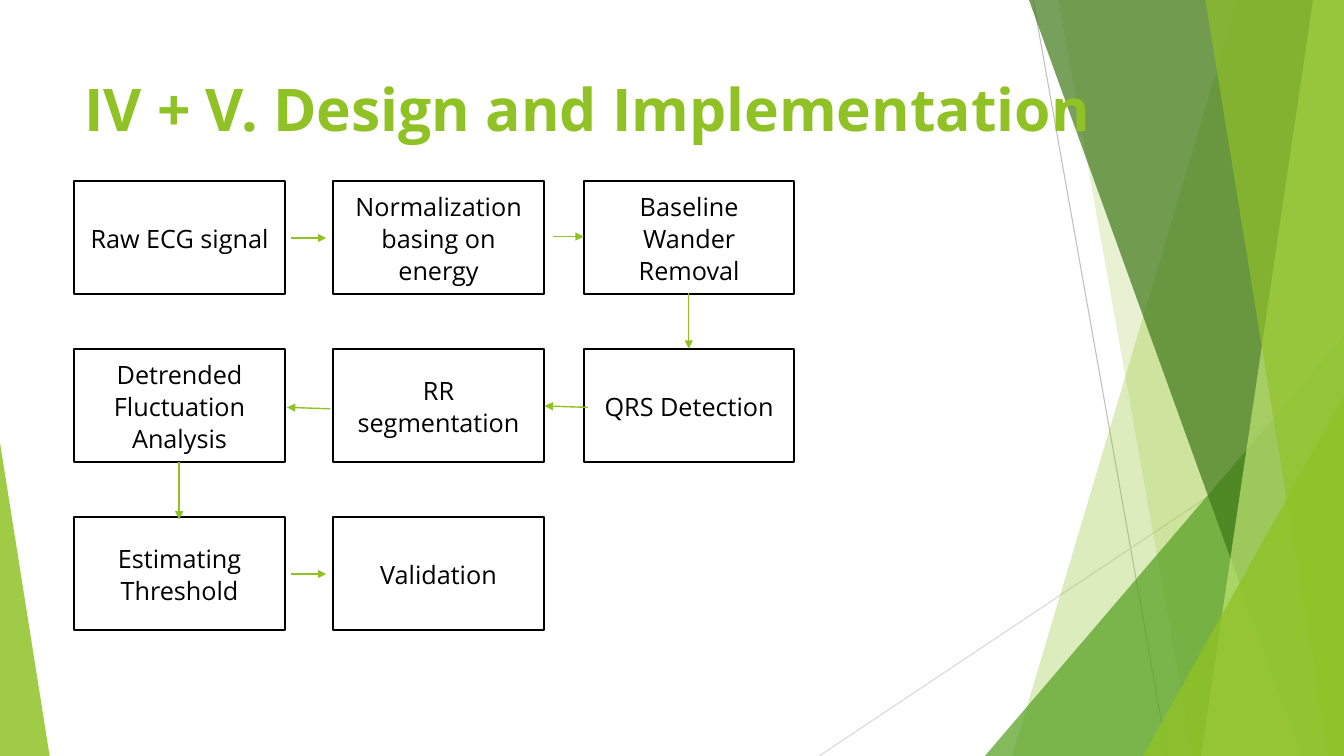
from lxml import etree
from pptx import Presentation
from pptx.dml.color import RGBColor
from pptx.enum.shapes import MSO_CONNECTOR, MSO_SHAPE
from pptx.enum.text import MSO_ANCHOR, MSO_AUTO_SIZE, PP_ALIGN
from pptx.oxml.ns import qn
from pptx.util import Pt

RECT = MSO_SHAPE.RECTANGLE
TRIANGLE = MSO_SHAPE.ISOSCELES_TRIANGLE
STRAIGHT = MSO_CONNECTOR.STRAIGHT
CENTER, LEFT = PP_ALIGN.CENTER, PP_ALIGN.LEFT
TOP, MIDDLE = MSO_ANCHOR.TOP, MSO_ANCHOR.MIDDLE
NO_FIT = MSO_AUTO_SIZE.NONE

WIDTH, HEIGHT = 960, 540
FONT = "Open Sans"
GREEN, LEAF, PINE, LIME = "90C226", "54A021", "3F7819", "C0E474"
BLACK, WHITE = "000000", "FFFFFF"

COLS = (53, 238, 417)
ROWS = (129, 249, 369)
BOX_W, BOX_H = 150.5, 81

# Each step: text, column, row
STEPS = (
    ("Raw ECG signal", 0, 0),
    ("Normalization basing on energy", 1, 0),
    ("Baseline Wander Removal", 2, 0),
    ("QRS Detection", 2, 1),
    ("RR segmentation", 1, 1),
    ("Detrended Fluctuation Analysis", 0, 1),
    ("Estimating Threshold", 0, 2),
    ("Validation", 1, 2),
)

# Each arrow: start x, start y, end x, end y
ARROWS = (
    (208, 170, 233, 170),
    (395, 169, 417, 169),
    (492, 209, 492, 249),
    (420, 291, 389, 290),
    (236, 292, 205, 291),
    (128, 330, 128, 371),
    (208, 410, 233, 410),
)


def color(code):
    """Turn a hex string into a colour."""
    return RGBColor.from_string(code)


def paint(shape, code, alpha):
    """Fill a shape with a see-through colour, without outline or shadow."""
    shape.shadow.inherit = False
    shape.line.fill.background()
    shape.fill.solid()
    shape.fill.fore_color.rgb = color(code)
    tint = shape.fill._xPr.find(".//" + qn("a:srgbClr"))
    etree.SubElement(tint, qn("a:alpha")).set("val", str(alpha * 1000))


def style(par, size, code, bold=False):
    """Set the font of every run in a paragraph."""
    for run in par.runs:
        font = run.font
        font.name, font.size, font.bold = FONT, Pt(size), bold
        font.color.rgb = color(code)


def add_line(slide, ends, code, width):
    """Draw a straight line between two points."""
    line = slide.shapes.add_connector(STRAIGHT, *map(Pt, ends))
    line.line.color.rgb = color(code)
    line.line.width = Pt(width)
    etree.SubElement(line._element.spPr, qn("a:effectLst"))
    return line


def add_arrow(slide, ends):
    """Draw a green arrow between two points."""
    arrow = add_line(slide, ends, GREEN, 1)
    stroke = arrow.line._get_or_add_ln()
    etree.SubElement(stroke, qn("a:tailEnd")).set("type", "triangle")


def add_band(slide, top, foot, code, alpha):
    """Draw a slanted band that runs to the right edge."""
    form = slide.shapes.build_freeform(top, 0, scale=Pt(1))
    form.add_line_segments([(WIDTH, 0), (WIDTH, HEIGHT), (foot, HEIGHT)])
    paint(form.convert_to_shape(), code, alpha)


def add_wedge(slide, left, top, width, peak, code, alpha):
    """Draw a triangle that stands on the bottom edge."""
    wedge = slide.shapes.add_shape(
        TRIANGLE, Pt(left), Pt(top), Pt(width), Pt(HEIGHT - top))
    wedge.adjustments[0] = peak
    paint(wedge, code, alpha)


def add_decor(slide):
    """Draw the green facets at the slide edges."""
    add_line(slide, (738, 0, 834, HEIGHT), "BFBFBF", 0.75)
    add_line(slide, (WIDTH, 290, 585, HEIGHT), "D9D9D9", 0.75)
    add_band(slide, 884, 723, GREEN, 30)
    add_band(slide, 756, 852, GREEN, 20)
    add_wedge(slide, 703.5, 240, 256.5, 1, LEAF, 72)
    add_band(slide, 735, 930, PINE, 70)
    add_band(slide, 938, 858, LIME, 70)
    add_band(slide, 861, 949, GREEN, 65)
    add_wedge(slide, 816.5, 283, 143.5, 1, GREEN, 80)
    add_wedge(slide, 0, 316, 35.5, 0, GREEN, 85)


def set_title(slide, text):
    """Place the title in front of the facets and format it."""
    title = slide.shapes.title
    title.left, title.top = Pt(53), Pt(48)
    title.width, title.height = Pt(775), Pt(104)
    frame = title.text_frame
    frame.text = text
    frame.auto_size = NO_FIT
    frame.vertical_anchor = TOP
    par = frame.paragraphs[0]
    par.alignment = LEFT
    style(par, 42, GREEN, True)
    title._element.getparent().append(title._element)


def add_step(slide, text, col, row):
    """Draw one box of the flow at its grid place."""
    box = slide.shapes.add_shape(
        RECT, Pt(COLS[col]), Pt(ROWS[row]), Pt(BOX_W), Pt(BOX_H))
    box.shadow.inherit = False
    box.fill.solid()
    box.fill.fore_color.rgb = color(WHITE)
    box.line.color.rgb = color(BLACK)
    box.line.width = Pt(1.5)
    frame = box.text_frame
    frame.text = text
    frame.word_wrap = True
    frame.vertical_anchor = MIDDLE
    par = frame.paragraphs[0]
    par.alignment = CENTER
    par.line_spacing = 1.07
    par.space_after = Pt(8)
    style(par, 18, BLACK)


def main():
    """Build the slide and save it."""
    deck = Presentation()
    deck.slide_width, deck.slide_height = Pt(WIDTH), Pt(HEIGHT)
    slide = deck.slides.add_slide(deck.slide_layouts[5])
    add_decor(slide)
    set_title(slide, "IV + V. Design and Implementation")
    for step in STEPS:
        add_step(slide, *step)
    for ends in ARROWS:
        add_arrow(slide, ends)
    deck.save("out.pptx")


main()
